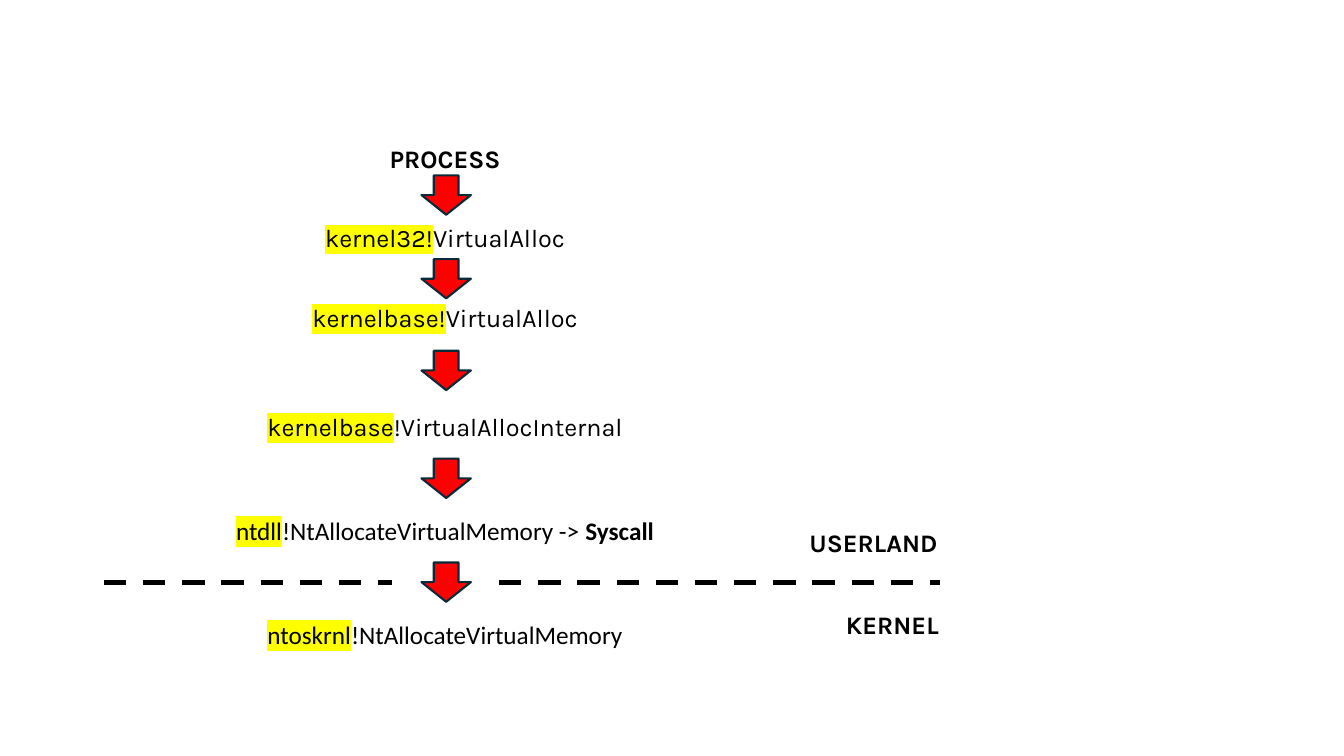
from dataclasses import dataclass

from lxml import etree
from pptx import Presentation
from pptx.dml.color import RGBColor
from pptx.enum.dml import MSO_LINE
from pptx.enum.shapes import MSO_CONNECTOR, MSO_SHAPE
from pptx.enum.text import MSO_AUTO_SIZE, PP_ALIGN
from pptx.oxml.ns import qn
from pptx.slide import Slide
from pptx.util import Inches, Pt

BLACK = RGBColor(0x00, 0x00, 0x00)
RED = RGBColor(0xFF, 0x00, 0x00)
NAVY = RGBColor(0x09, 0x2A, 0x39)
YELLOW = RGBColor(0xFF, 0xFF, 0x00)

LEFT, CENTER, RIGHT = PP_ALIGN.LEFT, PP_ALIGN.CENTER, PP_ALIGN.RIGHT
FIT = MSO_AUTO_SIZE.SHAPE_TO_FIT_TEXT
DOWN = MSO_SHAPE.DOWN_ARROW
STRAIGHT = MSO_CONNECTOR.STRAIGHT
DASH = MSO_LINE.DASH

# The grid has 100 columns and 100 rows.
WIDTH, HEIGHT = Inches(13.33), Inches(7.5)
CALL_X, CALL_W = 12.75, 40.73
TEXT_H = 5.33
ARROW_X, ARROW_W, ARROW_H = 31.36, 3.68, 5.2
BORDER_Y = 77.07


@dataclass(frozen=True)
class Label:
    row: float
    plain: str = ""
    marked: str = ""
    bold: str = ""
    font: str = "Karla"
    col: float = CALL_X
    width: float = CALL_W
    align: PP_ALIGN = CENTER
    wrap: bool = True


LABELS = [
    Label(18.27, bold="PROCESS"),
    Label(28.8, "VirtualAlloc", "kernel32!"),
    Label(39.33, "VirtualAlloc", "kernelbase!"),
    Label(53.73, "!VirtualAllocInternal", "kernelbase"),
    Label(67.47, "!NtAllocateVirtualMemory -> ", "ntdll", "Syscall", "Calibri"),
    Label(81.2, "!NtAllocateVirtualMemory", "ntoskrnl", font="Calibri"),
    Label(69.07, bold="USERLAND", col=59.49, width=11.1, align=LEFT, wrap=False),
    Label(80, bold="KERNEL", col=62.19, width=8.4, align=RIGHT, wrap=False),
]
ARROW_ROWS = [23.2, 34.27, 46.4, 60.67, 74.4]
BORDER_SPANS = [(7.73, 29.18), (37.13, 69.92)]


def across(cols: float) -> int:
    return round(WIDTH * cols / 100)


def down(rows: float) -> int:
    return round(HEIGHT * rows / 100)


def draw_label(slide: Slide, label: Label) -> None:
    box = slide.shapes.add_textbox(
        across(label.col), down(label.row), across(label.width), down(TEXT_H))
    frame = box.text_frame
    frame.word_wrap = label.wrap
    frame.auto_size = FIT
    line = frame.paragraphs[0]
    line.alignment = label.align
    for text in filter(None, (label.marked, label.plain, label.bold)):
        run = line.add_run()
        run.text = text
        run.font.name = label.font
        run.font.size = Pt(18)
        run.font.bold = text == label.bold
        run.font.color.rgb = BLACK
        if text == label.marked:
            mark = etree.Element(qn("a:highlight"))
            etree.SubElement(mark, qn("a:srgbClr"), val=str(YELLOW))
            run.font._element.find(qn("a:solidFill")).addnext(mark)


def draw_arrow(slide: Slide, row: float) -> None:
    arrow = slide.shapes.add_shape(
        DOWN, across(ARROW_X), down(row), across(ARROW_W), down(ARROW_H))
    arrow.shadow.inherit = False
    arrow.fill.solid()
    arrow.fill.fore_color.rgb = RED
    arrow.line.color.rgb = NAVY
    arrow.line.width = Pt(1.5)


def draw_border(slide: Slide, start: float, end: float) -> None:
    """Draw one dashed part of the line between userland and kernel."""
    y = down(BORDER_Y)
    border = slide.shapes.add_connector(STRAIGHT, across(start), y, across(end), y)
    border.line.color.rgb = BLACK
    border.line.width = Pt(4)
    border.line.dash_style = DASH
    etree.SubElement(border._element.spPr, qn("a:effectLst"))


def main() -> None:
    deck = Presentation()
    deck.slide_width, deck.slide_height = WIDTH, HEIGHT
    slide = deck.slides.add_slide(deck.slide_layouts[6])
    for label in LABELS:
        draw_label(slide, label)
    for row in ARROW_ROWS:
        draw_arrow(slide, row)
    for start, end in BORDER_SPANS:
        draw_border(slide, start, end)
    deck.save("out.pptx")


if __name__ == "__main__":
    main()
